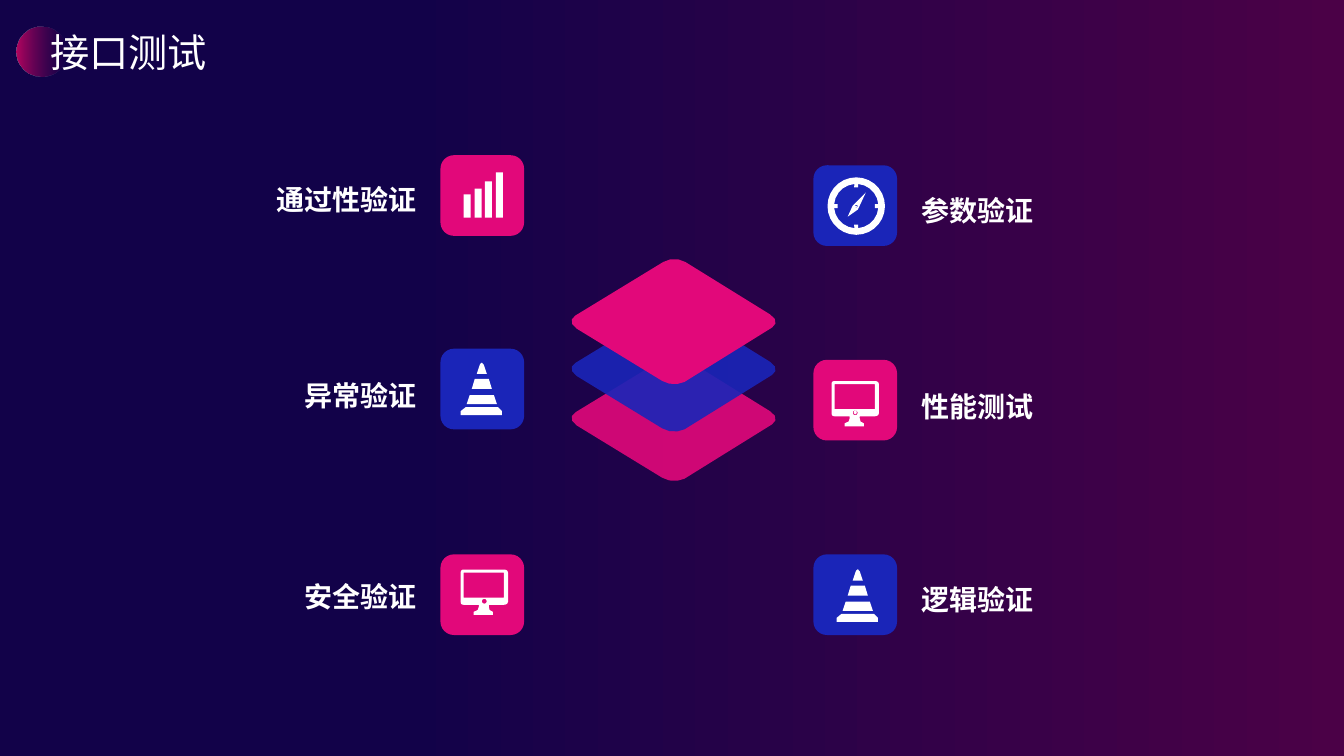
"""Build the interface testing slide: a layered stack between six verification items."""
import math
from dataclasses import dataclass
from typing import Callable

from lxml import etree
from pptx import Presentation
from pptx import util as u
from pptx.dml.color import RGBColor
from pptx.enum import shapes, text
from pptx.oxml.ns import qn

EMU_PER_PX = 9144
FONT = "Noto Sans CJK SC"
PINK = RGBColor(0xE2, 0x08, 0x7A)
BLUE = RGBColor(0x1A, 0x25, 0xB8)
WHITE = RGBColor(0xFF, 0xFF, 0xFF)
NAVY = RGBColor(0x12, 0x02, 0x49)
PLUM = RGBColor(0x4B, 0x01, 0x47)
CRIMSON = RGBColor(0xB3, 0x06, 0x60)
PURPLE = RGBColor(0x57, 0x01, 0x52)

Point = tuple[float, float]
Contour = list[Point]


@dataclass(frozen=True)
class Layer:
    top: int
    color: RGBColor
    opacity: int


@dataclass(frozen=True)
class Item:
    label: str
    on_left: bool
    tile_top: int
    label_top: int
    color: RGBColor
    draw_icon: Callable
    icon_left: int
    icon_top: int


def px(length: float) -> u.Emu:
    return u.Emu(round(length * EMU_PER_PX))


def outline(*steps: tuple) -> Contour:
    """Turn steps into points: a pair is a corner, six numbers are a Bezier curve."""
    points: Contour = []
    for step in steps:
        if len(step) == 2:
            points.append(step)
            continue
        controls = [points[-1], step[:2], step[2:4], step[4:]]
        for t in (1 / 3, 2 / 3, 1):
            weights = [math.comb(3, k) * t**k * (1 - t) ** (3 - k) for k in range(4)]
            points.append(tuple(sum(w * c[axis] for w, c in zip(weights, controls))
                                for axis in (0, 1)))
    return points


def arc(x: float, y: float, radius: float, start: float, end: float, steps: int) -> Contour:
    angles = [math.radians(start + (end - start) * i / steps) for i in range(steps + 1)]
    return [(x + radius * math.cos(a), y + radius * math.sin(a)) for a in angles]


def circle(x: float, y: float, radius: float, corners: int) -> Contour:
    return arc(x, y, radius, 0, 360, corners)[:-1]


def compass_rim() -> Contour:
    """Trace the inside of the compass ring with a tick at each quarter."""
    rim: Contour = []
    for quarter in range(0, 360, 90):
        rim += arc(28.5, 28.5, 22, quarter + 5, quarter + 85, 5)
        turn = math.radians(quarter + 90)
        for side in (-2, 2):
            rim.append((28.5 + 18.5 * math.cos(turn) - side * math.sin(turn),
                        28.5 + 18.5 * math.sin(turn) + side * math.cos(turn)))
    return rim


DIAMOND = [outline((6, 57), (93, 4), (99, 0, 109, 0, 115, 4), (199, 56),
                   (206, 60, 206, 66, 201, 69), (114, 123),
                   (108, 126, 98, 126, 92, 122), (7, 70), (1, 66, 0, 60, 6, 57))]
CONE = [
    outline((41, 55), (0, 55), (0, 51), (5, 47), (37, 47), (41, 51)),
    outline((6, 44), (9, 35), (33, 35), (36, 44)),
    outline((11, 29), (14, 19), (28, 19), (31, 29)),
    outline((19, 5), (19, 5, 21, 0, 23, 5), (26, 14), (16, 14)),
]
MONITOR = [
    outline((43, 0), (3, 0), (1, 0, 0, 1, 0, 3), (0, 32), (0, 34, 1, 35, 3, 35),
            (18, 35), (18, 35, 19, 42, 13, 42), (13, 45), (32, 45), (32, 42),
            (27, 42, 28, 35, 28, 35), (43, 35), (45, 35, 47, 34, 47, 32),
            (47, 3), (47, 1, 45, 0, 43, 0)),
    outline((3, 3), (43, 3), (43, 28), (3, 28)),
    circle(23.5, 31.5, 2.5, 8),
]
COMPASS_RING = [circle(28.5, 28.5, 28.5, 28), compass_rim()]
NEEDLE = [
    outline((20, 39), (25, 28), (26, 27), (38, 15), (31, 30), (30, 32)),
    circle(28.5, 28.5, 1.5, 6),
]
BAR_HEIGHTS = (23, 29, 36, 45)


def paint(shape, color: RGBColor) -> None:
    shape.fill.solid()
    shape.fill.fore_color.rgb = color
    shape.line.fill.background()
    shape.shadow.inherit = False


def set_opacity(shape, percent: int) -> None:
    """Set the opacity of the last colour in the fill."""
    color = shape.element.spPr.findall(".//" + qn("a:srgbClr"))[-1]
    etree.SubElement(color, qn("a:alpha"), val=str(percent * 1000))


def set_gradient(fill, start: RGBColor, end: RGBColor, start_position: float = 0) -> None:
    fill.gradient()
    fill.gradient_angle = 0
    for stop, color, position in zip(fill.gradient_stops, (start, end), (start_position, 1)):
        stop.color.rgb = color
        stop.position = position


def add_preset(slide, kind, left: int, top: int, width: int, height: int, color: RGBColor):
    shape = slide.shapes.add_shape(kind, px(left), px(top), px(width), px(height))
    paint(shape, color)
    return shape


def add_outline(slide, contours: list[Contour], left: int, top: int, color: RGBColor):
    placed = [[(px(left + x), px(top + y)) for x, y in contour] for contour in contours]
    builder = slide.shapes.build_freeform(*placed[0][0], scale=1.0)
    for index, contour in enumerate(placed):
        if index:
            builder.move_to(*contour[0])
        builder.add_line_segments(contour[1:], close=True)
    shape = builder.convert_to_shape()
    paint(shape, color)
    return shape


def draw_bars(slide, left: int, top: int) -> None:
    for index, height in enumerate(BAR_HEIGHTS):
        add_preset(slide, shapes.MSO_SHAPE.RECTANGLE, left + round(index * 32 / 3),
                   top + max(BAR_HEIGHTS) - height, 7, height, WHITE)


def draw_cone(slide, left: int, top: int) -> None:
    add_outline(slide, CONE, left, top, WHITE)


def draw_monitor(slide, left: int, top: int) -> None:
    add_outline(slide, MONITOR, left, top, WHITE)


def draw_lit_monitor(slide, left: int, top: int) -> None:
    draw_monitor(slide, left, top)
    add_preset(slide, shapes.MSO_SHAPE.OVAL, left + 22, top + 29, 3, 4, WHITE)


def draw_compass(slide, left: int, top: int) -> None:
    add_outline(slide, COMPASS_RING, left, top, WHITE)
    add_outline(slide, NEEDLE, left, top, WHITE)
    add_preset(slide, shapes.MSO_SHAPE.OVAL, left + 27, top + 28, 2, 2, WHITE)


def write(frame, words: str, size: int, bold: bool, align):
    frame.text = words
    frame.vertical_anchor = text.MSO_ANCHOR.TOP
    frame.auto_size = text.MSO_AUTO_SIZE.NONE
    paragraph = frame.paragraphs[0]
    paragraph.alignment = align
    font = paragraph.font
    font.name, font.size, font.bold = FONT, u.Pt(size), bold
    font.color.rgb = WHITE
    defaults = paragraph._p.pPr.find(qn("a:defRPr"))
    etree.SubElement(defaults, qn("a:ea"), typeface=FONT)
    return paragraph


def add_item(slide, item: Item) -> None:
    add_preset(slide, shapes.MSO_SHAPE.ROUNDED_RECTANGLE, 437 if item.on_left else 807,
               item.tile_top, 83, 80, item.color)
    item.draw_icon(slide, item.icon_left, item.icon_top)
    width = 28 * len(item.label) + 19
    label = slide.shapes.add_textbox(px(423 - width if item.on_left else 904),
                                     px(item.label_top), px(width), px(50))
    align = text.PP_ALIGN.RIGHT if item.on_left else text.PP_ALIGN.LEFT
    write(label.text_frame, item.label, 20, True, align).line_spacing = 1.2
    label.text_frame.word_wrap = False


LAYERS = [Layer(352, PINK, 90), Layer(303, BLUE, 90), Layer(256, PINK, 100)]
ITEMS = [
    Item("参数验证", False, 164, 180, BLUE, draw_compass, 821, 176),
    Item("性能测试", False, 357, 375, PINK, draw_lit_monitor, 825, 378),
    Item("异常验证", True, 346, 364, BLUE, draw_cone, 457, 357),
    Item("通过性验证", True, 154, 169, PINK, draw_bars, 460, 171),
    Item("逻辑验证", False, 550, 566, BLUE, draw_cone, 830, 562),
    Item("安全验证", True, 550, 563, PINK, draw_monitor, 457, 565),
]


def main() -> None:
    deck = Presentation()
    deck.slide_width, deck.slide_height = px(4000 / 3), px(750)
    slide = deck.slides.add_slide(deck.slide_layouts[5])
    set_gradient(slide.background.fill, NAVY, PLUM, 0.3)

    title = slide.shapes.title
    title.left, title.top, title.width, title.height = px(40), px(23), px(263), px(57)
    write(title.text_frame, "接口测试", 28, False, text.PP_ALIGN.LEFT)
    accent = add_preset(slide, shapes.MSO_SHAPE.OVAL, 16, 26, 50, 50, CRIMSON)
    set_gradient(accent.fill, CRIMSON, PURPLE)
    set_opacity(accent, 0)
    title.element.addprevious(accent.element)

    for layer in LAYERS:
        diamond = add_outline(slide, DIAMOND, 565, layer.top, layer.color)
        if layer.opacity < 100:
            set_opacity(diamond, layer.opacity)
    for item in ITEMS:
        add_item(slide, item)
    deck.save("out.pptx")


if __name__ == "__main__":
    main()
